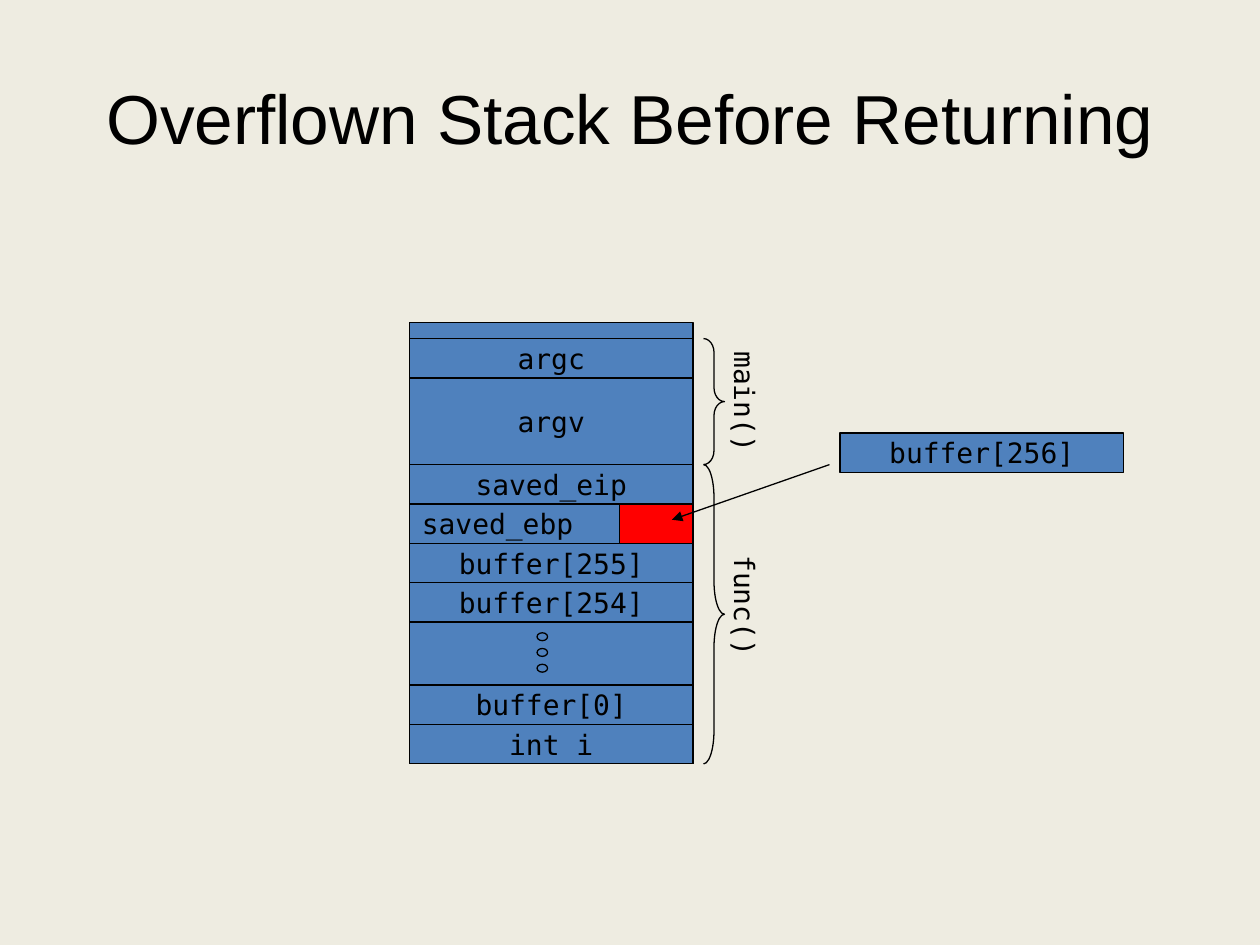
"""Build a slide showing an overflown call stack just before the function returns."""
from lxml import etree
from pptx import Presentation
from pptx import util as u
from pptx.dml.color import RGBColor
from pptx.enum import shapes, text
from pptx.oxml import ns

BLUE, RED, BLACK, PAPER = "4F81BD", "FF0000", "000000", "EEECE1"
STACK_LEFT, STACK_WIDTH, ROW = 39, 27, 5

deck = Presentation()
deck.slide_width, deck.slide_height = u.Inches(10), u.Inches(7.5)
COLUMN, LINE = deck.slide_width / 120, deck.slide_height / 120
page = deck.slides.add_slide(deck.slide_layouts[5])
page.background.fill.solid()
page.background.fill.fore_color.rgb = RGBColor.from_string(PAPER)


def write(frame, words, size, font, align):
    """Put one formatted paragraph into a text frame."""
    frame.text = words
    para = frame.paragraphs[0]
    para.alignment = align
    span = para.runs[0]
    span.font.size, span.font.name = u.Pt(size), font
    span.font.color.rgb = RGBColor.from_string(BLACK)


def add_box(left, top, width, height, colour=BLUE, words="",
            kind=shapes.MSO_SHAPE.RECTANGLE, align=text.PP_ALIGN.CENTER):
    """Draw an outlined shape placed in grid columns and lines."""
    box = page.shapes.add_shape(kind, round(left * COLUMN), round(top * LINE),
                                round(width * COLUMN), round(height * LINE))
    box.shadow.inherit = False
    if colour:
        box.fill.solid()
        box.fill.fore_color.rgb = RGBColor.from_string(colour)
    else:
        box.fill.background()
    box.line.color.rgb = RGBColor.from_string(BLACK)
    box.line.width = u.Pt(0.75)
    if words:
        box.text_frame.word_wrap = False
        box.text_frame.vertical_anchor = text.MSO_ANCHOR.MIDDLE
        write(box.text_frame, words, 16, "DejaVu Sans Mono", align)
    return box


title = page.shapes.title
title.left, title.top = round(6 * COLUMN), round(4.8 * LINE)
title.width, title.height = round(108 * COLUMN), round(20 * LINE)
title.text_frame.vertical_anchor = text.MSO_ANCHOR.MIDDLE
write(title.text_frame, "Overflown Stack Before Returning", 39.6, "Arial",
      text.PP_ALIGN.CENTER)

add_box(STACK_LEFT, 41, STACK_WIDTH, 56)
top = 43
for words, height in [("argc", ROW), ("argv", 11), ("saved_eip", ROW),
                      ("saved_ebp", ROW), ("buffer[255]", ROW),
                      ("buffer[254]", ROW), ("", 8), ("buffer[0]", ROW),
                      ("int i", ROW)]:
    if words:
        align = text.PP_ALIGN.LEFT if words == "saved_ebp" else text.PP_ALIGN.CENTER
        add_box(STACK_LEFT, top, STACK_WIDTH, height, words=words, align=align)
    top += height

for dot in range(3):
    add_box(51.15, 80.35 + 2 * dot, 1, 1, kind=shapes.MSO_SHAPE.OVAL)

for words, top, height, label_top in [("main()", 43, 16, 49.1),
                                      ("func()", 59, 38, 75)]:
    brace = add_box(67, top, 2, height, colour=None,
                    kind=shapes.MSO_SHAPE.RIGHT_BRACE)
    brace.adjustments[0] = height / 24
    label = page.shapes.add_textbox(round(64.2 * COLUMN), round(label_top * LINE),
                                    round(13.5 * COLUMN), round(5.9 * LINE))
    label.rotation = 90
    label.text_frame.word_wrap = True
    write(label.text_frame, words, 16, "DejaVu Sans Mono", text.PP_ALIGN.LEFT)

add_box(59, 64, 7, ROW, colour=RED)
arrow = page.shapes.add_connector(shapes.MSO_CONNECTOR.STRAIGHT,
                                  round(79 * COLUMN), round(59 * LINE),
                                  round(64 * COLUMN), round(66 * LINE))
arrow.line.color.rgb = RGBColor.from_string(BLACK)
arrow.line.width = u.Pt(0.75)
etree.SubElement(arrow.line._get_or_add_ln(), ns.qn("a:tailEnd"), type="triangle")
etree.SubElement(arrow._element.spPr, ns.qn("a:effectLst"))
add_box(80, 55, STACK_WIDTH, ROW, words="buffer[256]")

deck.save("out.pptx")
